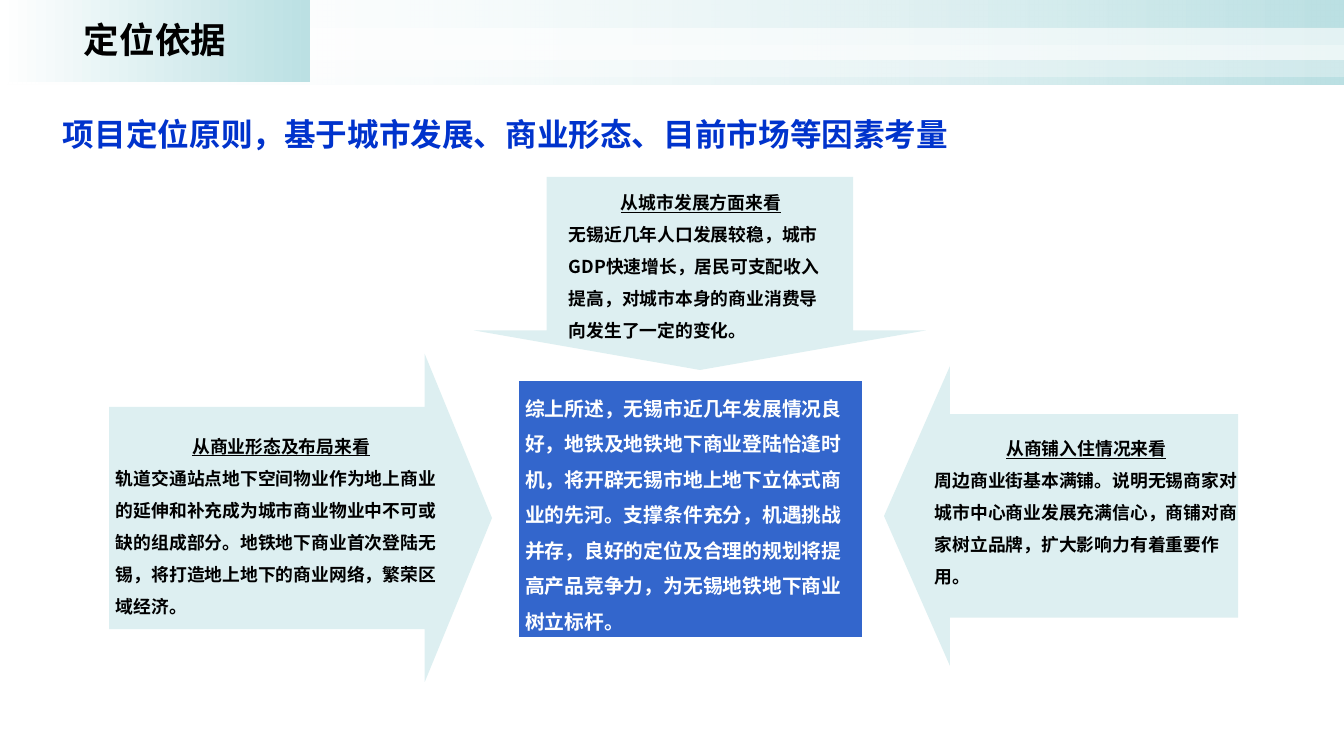
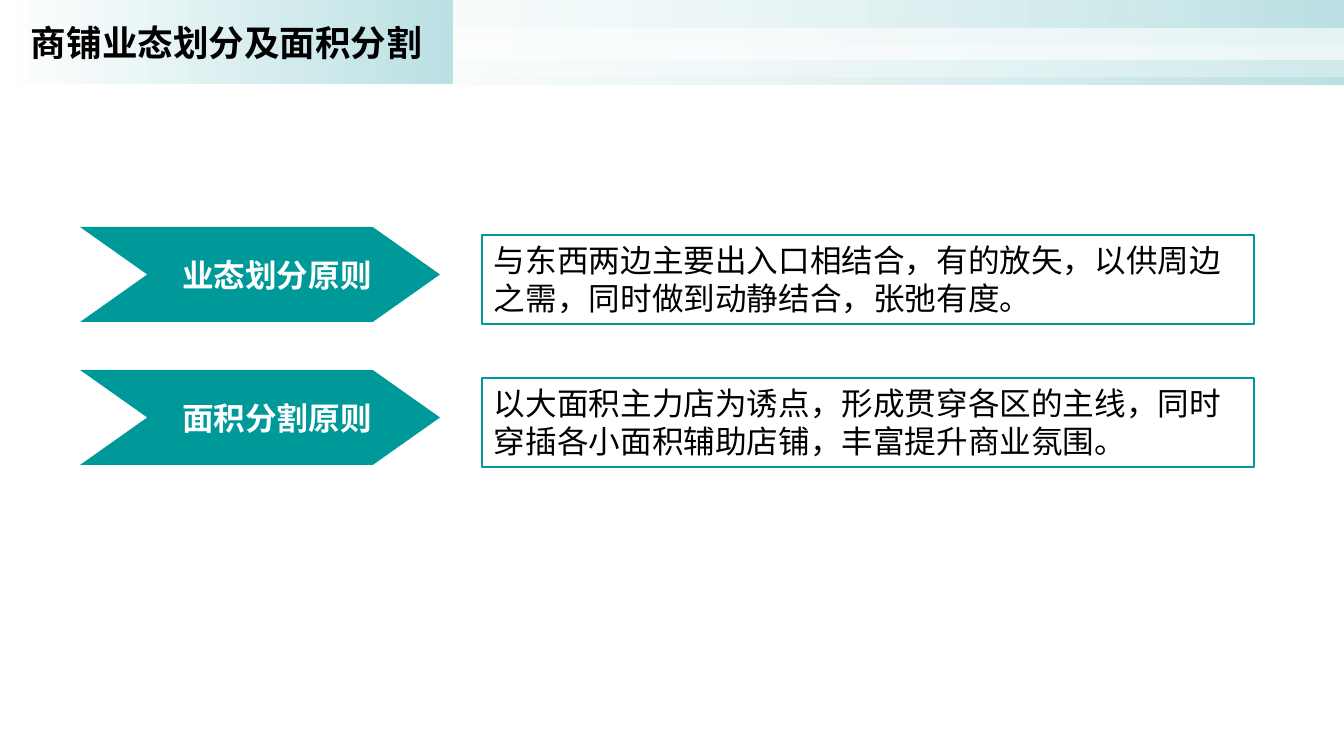
from lxml.etree import SubElement
from pptx import Presentation
from pptx.dml.color import RGBColor
from pptx.enum.shapes import MSO_SHAPE
from pptx.enum.text import MSO_ANCHOR, PP_ALIGN
from pptx.oxml.ns import qn
from pptx.util import Emu, Pt

PX = 12861
WIDTH, HEIGHT = 1344, 756
FONT = "Noto Sans CJK SC"
COLORS = {
    "white": "FFFFFF",
    "black": "000000",
    "mist": "BBE0E3",
    "teal": "009999",
    "blue": "3366CC",
    "headline": "0033CC",
}


def px(length):
    return Emu(length * PX)


def rgb(name):
    return RGBColor.from_string(COLORS[name])


def set_alpha(color_node, percent):
    SubElement(color_node, qn("a:alpha")).set("val", str(percent * 1000))


def add_block(slide, box, kind=MSO_SHAPE.RECTANGLE, fill=None, opacity=100,
              line=None, line_pt=0, adjustments=()):
    block = slide.shapes.add_shape(kind, *map(px, box))
    block.shadow.inherit = False
    for index, value in enumerate(adjustments):
        block.adjustments[index] = value
    if fill:
        block.fill.solid()
        block.fill.fore_color.rgb = rgb(fill)
        if opacity < 100:
            set_alpha(block._element.spPr.find(".//" + qn("a:srgbClr")), opacity)
    else:
        block.fill.background()
    if line:
        block.line.color.rgb = rgb(line)
        block.line.width = Pt(line_pt)
    else:
        block.line.fill.background()
    return block


def add_fade(slide, box, start_opacity=100):
    fade = add_block(slide, box)
    fade.fill.gradient()
    fade.fill.gradient_angle = 0
    for stop, color in zip(fade.fill.gradient_stops, ("white", "mist")):
        stop.color.rgb = rgb(color)
    if start_opacity < 100:
        set_alpha(fade._element.spPr.find(".//" + qn("a:srgbClr")), start_opacity)
    return fade


def write(shape, paragraphs, size, pitch, color="black", bold=True,
          insets=(7, 4, 7, 4), anchor=MSO_ANCHOR.TOP, wrap=True):
    frame = shape.text_frame
    frame.word_wrap = wrap
    frame.vertical_anchor = anchor
    frame.margin_left, frame.margin_top, frame.margin_right, frame.margin_bottom = map(px, insets)
    for index, (words, align, underline) in enumerate(paragraphs):
        paragraph = frame.add_paragraph() if index else frame.paragraphs[0]
        paragraph.text = words
        paragraph.alignment = align
        paragraph.line_spacing = Pt(pitch)
        paragraph._p.get_or_add_pPr().set("hangingPunct", "0")
        for run in paragraph.runs:
            run.font.name = FONT
            run.font.size = Pt(size)
            run.font.bold = bold
            run.font.underline = underline
            run.font.color.rgb = rgb(color)
            SubElement(run._r.get_or_add_rPr(), qn("a:ea")).set("typeface", FONT)


def add_page(deck, title, title_width, title_height, title_lift):
    slide = deck.slides.add_slide(deck.slide_layouts[6])
    add_fade(slide, (0, 0, WIDTH, 85), start_opacity=0)
    for top, opacity in ((28, 60), (45, 31)):
        add_block(slide, (0, top, WIDTH, 32), fill="white", opacity=opacity)
    tab = add_fade(slide, (0, 0, title_width, title_height))
    write(tab, [(title, PP_ALIGN.CENTER, False)], 36, 46,
          insets=(4, 2, 4, 2 + title_lift), anchor=MSO_ANCHOR.MIDDLE)
    return slide


def add_factor(slide, box, kind, head, insets, heading, body):
    arrow = add_block(slide, box, kind, "mist", 49, adjustments=(0.678, head))
    write(arrow, [(heading, PP_ALIGN.CENTER, True), (body, PP_ALIGN.LEFT, False)],
          18, 32.4, insets=insets)


def add_principle(slide, box, label, statement):
    left, top, width, height = box
    chevron = add_block(slide, (left, top, 360, height), MSO_SHAPE.CHEVRON, "teal",
                        adjustments=(0.708,))
    write(chevron, [(label, PP_ALIGN.CENTER, False)], 32, 40, "white",
          insets=(34, 6, 0, 6), anchor=MSO_ANCHOR.MIDDLE, wrap=False)
    panel = add_block(slide, (left + 402, top + 8, width - 402, 89), line="teal", line_pt=2)
    write(panel, [(statement, PP_ALIGN.LEFT, False)], 32, 38.4, bold=False,
          insets=(12, 6, 12, 6))


def build_basis(deck):
    slide = add_page(deck, "定位依据", 310, 82, 6)
    headline = slide.shapes.add_textbox(*map(px, (56, 109, 1047, 45)))
    write(headline, [("项目定位原则，基于城市发展、商业形态、目前市场等因素考量", PP_ALIGN.LEFT, False)],
          32, 40, "headline")
    factors = (
        ((884, 366, 354, 300), MSO_SHAPE.LEFT_ARROW, 0.22, (6, 13, 0, 0),
         "从商铺入住情况来看",
         "周边商业街基本满铺。说明无锡商家对城市中心商业发展充满信心，商铺对商家树立品牌，扩大影响力有着重要作用。"),
        ((109, 354, 383, 328), MSO_SHAPE.RIGHT_ARROW, 0.205, (7, 18, 0, 0),
         "从商业形态及布局来看",
         "轨道交通站点地下空间物业作为地上商业的延伸和补充成为城市商业物业中不可或缺的组成部分。地铁地下商业首次登陆无锡，将打造地上地下的商业网络，繁荣区域经济。"),
        ((474, 177, 452, 193), MSO_SHAPE.DOWN_ARROW, 0.205, (22, 4, 20, 0),
         "从城市发展方面来看",
         "无锡近几年人口发展较稳，城市GDP快速增长，居民可支配收入提高，对城市本身的商业消费导向发生了一定的变化。"),
    )
    for factor in factors:
        add_factor(slide, *factor)
    conclusion = add_block(slide, (518, 380, 345, 258), fill="blue", line="white", line_pt=2.25)
    write(conclusion, [(
        "综上所述，无锡市近几年发展情况良好，地铁及地铁地下商业登陆恰逢时机，将开辟无锡市地上地下立体式商业的先河。支撑条件充分，机遇挑战并存，良好的定位及合理的规划将提高产品竞争力，为无锡地铁地下商业树立标杆。",
        PP_ALIGN.LEFT, False)], 20, 36, "white", anchor=MSO_ANCHOR.MIDDLE)


def build_division(deck):
    slide = add_page(deck, "商铺业态划分及面积分割", 453, 84, 2)
    principles = (
        ("业态划分原则", "与东西两边主要出入口相结合，有的放矢，以供周边之需，同时做到动静结合，张弛有度。"),
        ("面积分割原则", "以大面积主力店为诱点，形成贯穿各区的主线，同时穿插各小面积辅助店铺，丰富提升商业氛围。"),
    )
    for row, (label, statement) in enumerate(principles):
        add_principle(slide, (80, 227 + row * 143, 1174, 95), label, statement)


def main():
    deck = Presentation()
    deck.slide_width, deck.slide_height = px(WIDTH), px(HEIGHT)
    build_basis(deck)
    build_division(deck)
    deck.save("out.pptx")


if __name__ == "__main__":
    main()
